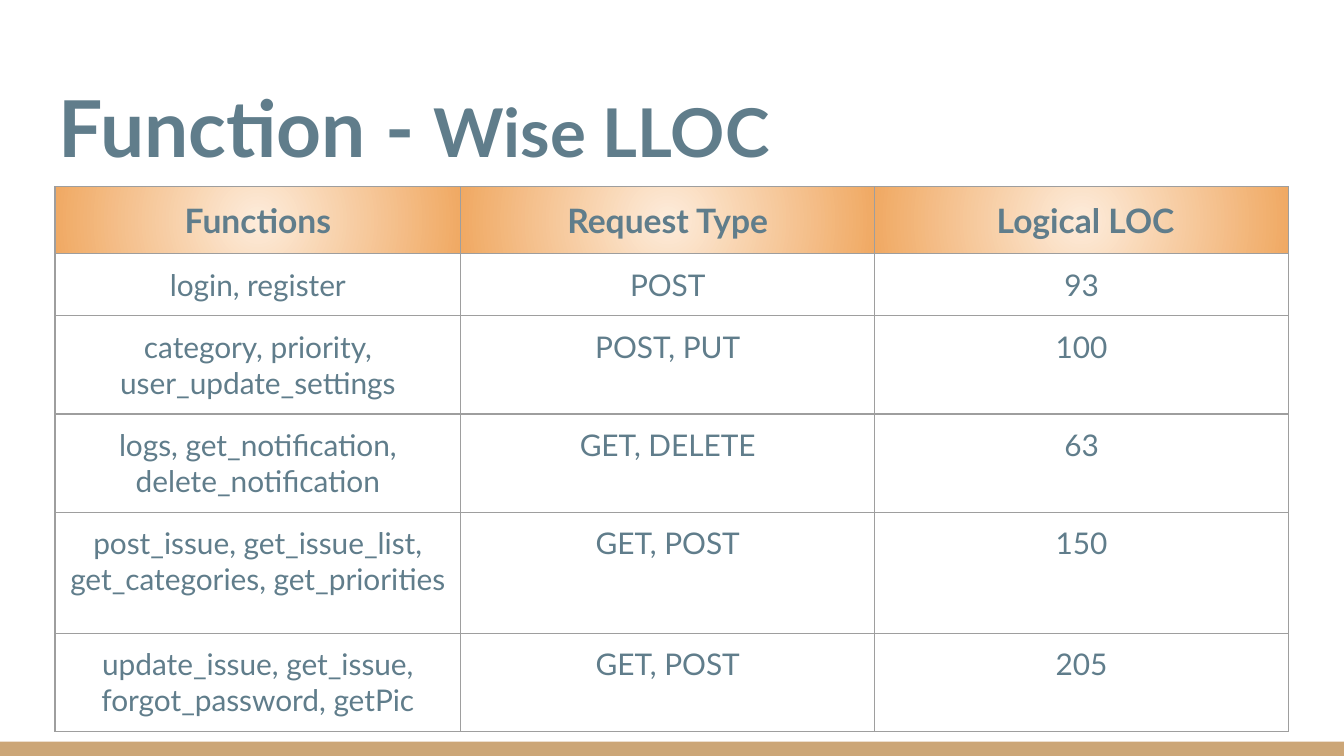
"""Build the slide with the table of logical lines of code per function."""
from pptx import Presentation
from pptx.dml.color import RGBColor as RGB
from pptx.enum.shapes import MSO_SHAPE as Shape
from pptx.enum.text import MSO_ANCHOR as Anchor, PP_ALIGN as Align
from pptx.oxml import parse_xml
from pptx.oxml.ns import nsdecls
from pptx.util import Cm, Pt


class Theme:
    face = "Lato"
    ink = RGB.from_string("607D8B")
    bar = RGB.from_string("CCA677")
    border = "9E9E9E"
    glow = "FDECDB"
    edge = "F0A963"
    title = 42
    subtitle = 36
    head = 18
    body = 16


def style(run, size, bold):
    run.font.name = Theme.face
    run.font.size = Pt(size)
    run.font.bold = bold
    run.font.color.rgb = Theme.ink


def paint(cell, head):
    props = cell._tc.get_or_add_tcPr()
    for side in "LRTB":
        props.append(parse_xml(
            f'<a:ln{side} {nsdecls("a")} w="9525"><a:solidFill>'
            f'<a:srgbClr val="{Theme.border}"/></a:solidFill></a:ln{side}>'))
    if head:
        props.append(parse_xml(
            f'<a:gradFill {nsdecls("a")}><a:gsLst>'
            f'<a:gs pos="0"><a:srgbClr val="{Theme.glow}"/></a:gs>'
            f'<a:gs pos="100000"><a:srgbClr val="{Theme.edge}"/></a:gs></a:gsLst>'
            '<a:path path="circle"><a:fillToRect l="50000" t="50000" r="50000" b="50000"/>'
            '</a:path></a:gradFill>'))
    else:
        cell.fill.background()


rows = [
    ("Functions", "Request Type", " Logical LOC"),
    ("login, register", "POST", "93"),
    ("category, priority, user_update_settings", "POST, PUT", "100"),
    ("logs, get_notification, delete_notification", "GET, DELETE", "63"),
    ("post_issue, get_issue_list, get_categories, get_priorities", "GET, POST", "150"),
    ("update_issue, get_issue, forgot_password, getPic", "GET, POST", "205"),
]
widths = [7.67, 7.82, 7.82]
heights = [1.09, 1.09, 1.7, 1.7, 2.29, 1.7]
inset = Cm(0.25)

deck = Presentation()
deck.slide_width, deck.slide_height = Cm(25.4), Cm(14.29)
slide = deck.slides.add_slide(deck.slide_layouts[6])

bar = slide.shapes.add_shape(Shape.RECTANGLE, 0, Cm(14.02), Cm(25.4), Cm(0.27))
bar.shadow.inherit = False
bar.fill.solid()
bar.fill.fore_color.rgb = Theme.bar
bar.line.fill.background()

title = slide.shapes.add_textbox(Cm(0.86), Cm(1.22), Cm(23.67), Cm(2.31)).text_frame
title.word_wrap = True
title.vertical_anchor = Anchor.BOTTOM
title.margin_left = title.margin_right = title.margin_top = title.margin_bottom = inset
for text, size in [("Function - ", Theme.title), ("Wise LLOC", Theme.subtitle)]:
    run = title.paragraphs[0].add_run()
    run.text = text
    style(run, size, True)

table = slide.shapes.add_table(
    len(rows), len(widths), Cm(1.04), Cm(3.53), Cm(sum(widths)), Cm(sum(heights))).table
table.first_row = table.horz_banding = False
for col, width in zip(table.columns, widths):
    col.width = Cm(width)
for r, (texts, height) in enumerate(zip(rows, heights)):
    table.rows[r].height = Cm(height)
    head = r == 0
    for c, text in enumerate(texts):
        cell = table.cell(r, c)
        cell.margin_left = cell.margin_right = cell.margin_top = cell.margin_bottom = inset
        para = cell.text_frame.paragraphs[0]
        para.text = text
        para.alignment = Align.CENTER
        style(para.runs[0], Theme.head if head else Theme.body, head)
        paint(cell, head)

deck.save("out.pptx")
